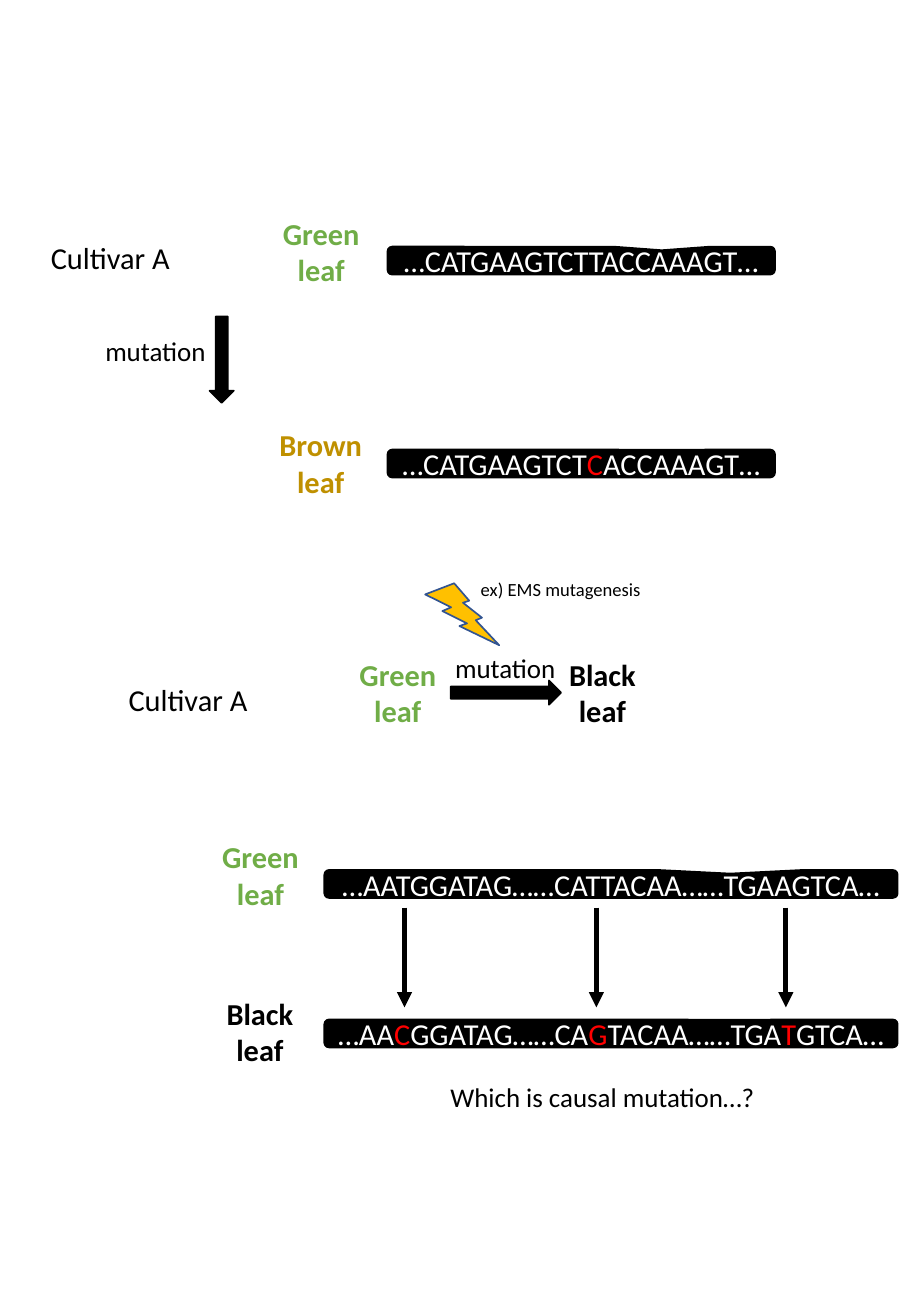
from pptx import Presentation
from pptx.dml.color import RGBColor
from pptx.enum.shapes import MSO_CONNECTOR as Link, MSO_SHAPE as Kind
from pptx.enum.text import MSO_ANCHOR as Anchor, MSO_AUTO_SIZE as Auto, PP_ALIGN as Align
from pptx.oxml.ns import qn
from pptx.util import Inches, Pt
from lxml.etree import SubElement

INK = {"black": "000000", "white": "FFFFFF", "red": "FF0000", "green": "70AD47",
       "brown": "BF9000", "gold": "FFC000", "navy": "325491"}
CELL = Inches(0.1)

deck = Presentation()
deck.slide_width, deck.slide_height = Inches(7.5), Inches(10.83)
slide = deck.slides.add_slide(deck.slide_layouts[6])
shapes = slide.shapes


def paint(kind, box, fill, line):
    shape = shapes.add_shape(kind, *[int(n * CELL) for n in box])
    shape.shadow.inherit = False
    shape.fill.solid()
    shape.fill.fore_color.rgb = RGBColor.from_string(INK[fill])
    shape.line.color.rgb = RGBColor.from_string(INK[line])
    shape.line.width = Pt(1)
    return shape


def style(run, size, ink, bold=False):
    run.font.name = "Calibri"
    run.font.size = Pt(size)
    run.font.bold = bold
    run.font.color.rgb = RGBColor.from_string(INK[ink])


down = paint(Kind.RIGHT_ARROW, (14.7, 28.6, 7.1, 2), "black", "black")
down.rotation = 90
paint(Kind.RIGHT_ARROW, (37.1, 56, 9.1, 2), "black", "black")
paint(Kind.LIGHTNING_BOLT, (35, 48, 6.1, 5.1), "gold", "navy")

bars = [
    (31.9, 20.3, 31.9, "…CATGAAGTCTTACCAAAGT…"),
    (31.9, 37, 31.9, "…CATGAAGTCT|C|ACCAAAGT…"),
    (26.7, 71.6, 47.2, "…AATGGATAG……CATTACAA……TGAAGTCA…"),
    (26.7, 83.9, 47.2, "…AA|C|GGATAG……CA|G|TACAA……TGA|T|GTCA…"),
]
for left, top, wide, bases in bars:
    bar = paint(Kind.ROUNDED_RECTANGULAR_CALLOUT, (left, top, wide, 2.3), "black", "black")
    parts = bases.split("|")
    tip = (0.204, -0.49, 0.167) if len(parts) > 1 else (0.208, -0.37, 0.167)
    for i, value in enumerate(tip):
        bar.adjustments[i] = value
    bar.text_frame.vertical_anchor = Anchor.MIDDLE
    para = bar.text_frame.paragraphs[0]
    para.alignment = Align.CENTER
    for i, part in enumerate(parts):
        run = para.add_run()
        run.text = part
        style(run, 18, "red" if i % 2 else "white")

leaves = [
    (26.45, 17.2, "Green", "green"),
    (26.4, 34.6, "Brown", "brown"),
    (32.75, 53.5, "Green", "green"),
    (49.6, 53.5, "Black", "black"),
    (21.45, 68.5, "Green", "green"),
    (21.4, 81.4, "Black", "black"),
]
labels = [
    (3.2, 19.2, 12.1, 4, "Cultivar A", 18, Align.LEFT, "black", False),
    (9.6, 55.6, 12.1, 4, "Cultivar A", 18, Align.LEFT, "black", False),
    (6.8, 27, 12, 3.7, "mutation", 16, Align.CENTER, "black", False),
    (35.6, 53.1, 12, 3.7, "mutation", 16, Align.CENTER, "black", False),
    (38.6, 47.1, 15.3, 2.9, "ex) EMS mutagenesis", 11, Align.LEFT, "black", False),
    (35.3, 88.4, 28.6, 3.7, "Which is causal mutation…?", 16, Align.CENTER, "black", False),
]
for mid, top, hue, ink in leaves:
    wide = 8.7 if hue == "Green" else 10
    labels.append((mid - wide / 2, top, wide, 7.1, hue + " leaf", 18, Align.CENTER, ink, True))

for *box, words, size, side, ink, bold in labels:
    frame = shapes.add_textbox(*[int(n * CELL) for n in box]).text_frame
    frame.word_wrap = side == Align.CENTER
    frame.auto_size = Auto.SHAPE_TO_FIT_TEXT
    para = frame.paragraphs[0]
    para.text = words
    para.alignment = side
    style(para.runs[0], size, ink, bold)

for col in (33.3, 49.1, 64.7):
    x = int(col * CELL)
    arrow = shapes.add_connector(Link.STRAIGHT, x, int(74.7 * CELL), x, int(82.9 * CELL))
    arrow.line.color.rgb = RGBColor.from_string(INK["black"])
    arrow.line.width = Pt(3)
    SubElement(arrow.line._get_or_add_ln(), qn("a:tailEnd"), type="triangle")
    SubElement(arrow._element.spPr, qn("a:effectLst"))

deck.save("out.pptx")
